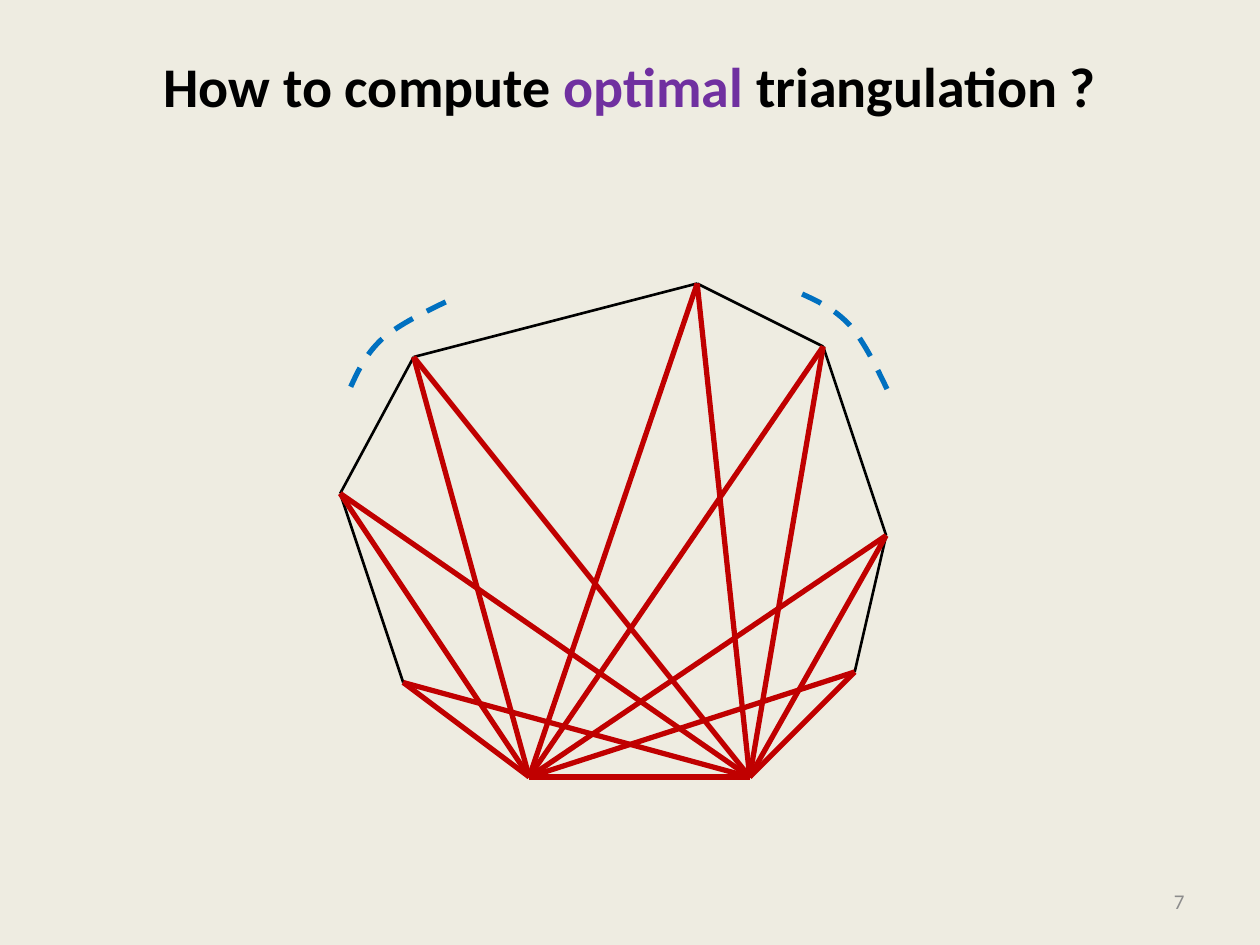
from lxml import etree
from pptx import Presentation
from pptx.dml.color import RGBColor
from pptx.enum.dml import MSO_LINE
from pptx.enum.shapes import MSO_CONNECTOR
from pptx.enum.text import MSO_ANCHOR, PP_ALIGN
from pptx.oxml.ns import qn
from pptx.util import Inches, Pt

COLORS = {
    "paper": "EEECE1", "ink": "000000", "accent": "7030A0",
    "chord": "C00000", "arc": "0070C0", "number": "8C8C8C",
}
FONT = "Calibri"
SLIDE_W, SLIDE_H = Inches(10), Inches(7.5)

# Polygon corners in grid cells, clockwise; the first two are the base
COLS, ROWS = 52, 47
CORNERS = [(39, 47), (18, 47), (6, 38), (0, 20), (7, 7),
           (34, 0), (46, 6), (52, 24), (49, 37)]

# Dashed arc: Bezier points as steps from its start, in grid cells
ARC_STEPS = [(1.56, 0.72), (3.12, 1.44), (4.56, 3),
             (6, 4.68), (7.2, 7.2), (8.4, 9.72)]
RIGHT_ARC_START, LEFT_ARC_START = (44, 1), (1, 9.84)


def color(name):
    return RGBColor.from_string(COLORS[name])


def share(left, top, width, height):
    """Box in EMU from shares of the slide."""
    return (round(left * SLIDE_W), round(top * SLIDE_H),
            round(width * SLIDE_W), round(height * SLIDE_H))


def add_run(paragraph, text, size, color_name, bold=False):
    run = paragraph.add_run()
    run.text = text
    run.font.name, run.font.size, run.font.bold = FONT, Pt(size), bold
    run.font.color.rgb = color(color_name)


def add_title(slide, box):
    title = slide.shapes.title
    title.left, title.top, title.width, title.height = box
    frame = title.text_frame
    frame.word_wrap = True
    frame.vertical_anchor = MSO_ANCHOR.MIDDLE
    frame.margin_bottom = Inches(0.55)  # lifts the line above the middle
    heading = frame.paragraphs[0]
    heading.alignment = PP_ALIGN.CENTER
    for text, name in (("How to compute ", "ink"), ("optimal", "accent"),
                       (" triangulation ?", "ink")):
        add_run(heading, text, 32, name, bold=True)


def add_page_number(slide, box):
    frame = slide.shapes.add_textbox(*box).text_frame
    frame.word_wrap = True
    frame.vertical_anchor = MSO_ANCHOR.MIDDLE
    number = frame.paragraphs[0]
    number.alignment = PP_ALIGN.RIGHT
    add_run(number, "7", 12, "number")


def add_segment(shapes, start, end, color_name, width):
    segment = shapes.add_connector(MSO_CONNECTOR.STRAIGHT, *start, *end)
    segment.line.color.rgb = color(color_name)
    segment.line.width = Pt(width)
    etree.SubElement(segment.element.spPr, qn("a:effectLst"))


def add_dashed_arc(shapes, start, controls):
    builder = shapes.build_freeform(*start)
    builder.add_line_segments(controls, close=False)
    arc = builder.convert_to_shape()
    # Join every three straight steps into one cubic curve
    path = next(arc.element.iter(qn("a:path")))
    steps = path.findall(qn("a:lnTo"))
    for i in range(0, len(steps), 3):
        curve = etree.SubElement(path, qn("a:cubicBezTo"))
        for step in steps[i:i + 3]:
            curve.append(step[0])
            path.remove(step)
    arc.fill.background()
    arc.shadow.inherit = False
    arc.line.color.rgb = color("arc")
    arc.line.width = Pt(3)
    arc.line.dash_style = MSO_LINE.DASH


def add_triangulation(slide, box):
    left, top, width, height = box

    def place(cell):
        return (round(left + cell[0] * width / COLS),
                round(top + cell[1] * height / ROWS))

    corners = [place(corner) for corner in CORNERS]
    base_right, base_left, *apexes = corners

    # Polygon outline
    outline = slide.shapes.add_group_shape().shapes
    for start, end in zip(corners, corners[1:] + corners[:1]):
        add_segment(outline, start, end, "ink", 1.5)

    # Dashed arcs; the left one is the right one turned a quarter
    arcs = slide.shapes.add_group_shape().shapes
    turned_steps = [(dy, -dx) for dx, dy in ARC_STEPS]
    for (x, y), steps in ((RIGHT_ARC_START, ARC_STEPS),
                          (LEFT_ARC_START, turned_steps)):
        add_dashed_arc(arcs, place((x, y)),
                       [place((x + dx, y + dy)) for dx, dy in steps])

    # Base edge and the candidate triangle over it for each apex
    add_segment(slide.shapes, base_left, base_right, "chord", 3)
    for apex in reversed(apexes):
        triangle = slide.shapes.add_group_shape().shapes
        for base in (base_left, base_right):
            add_segment(triangle, base, apex, "chord", 3)


def main():
    deck = Presentation()
    deck.slide_width, deck.slide_height = SLIDE_W, SLIDE_H
    slide = deck.slides.add_slide(deck.slide_layouts[5])
    slide.background.fill.solid()
    slide.background.fill.fore_color.rgb = color("paper")

    add_title(slide, share(0.05, 0.04, 0.9, 1 / 6))
    add_triangulation(slide, share(0.27, 0.3, 13 / 30, 47 / 90))
    add_page_number(slide, share(0.717, 0.927, 0.233, 0.053))
    deck.save("out.pptx")


if __name__ == "__main__":
    main()
